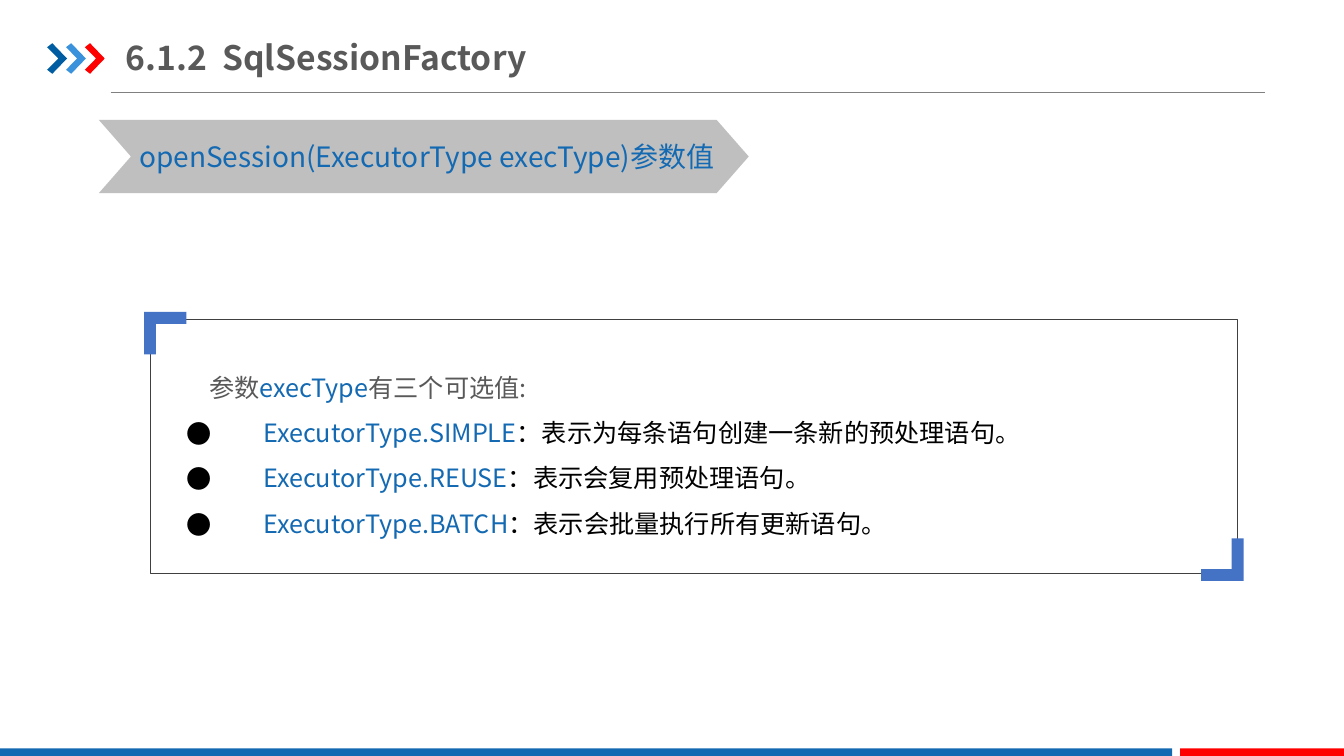
import pptx
import pptx.dml.color
import pptx.enum.shapes
import pptx.enum.text
import pptx.oxml
import pptx.oxml.ns
import pptx.util
from lxml import etree

Cm, Pt = pptx.util.Cm, pptx.util.Pt
SHAPES = pptx.enum.shapes.MSO_SHAPE
ANCHORS = pptx.enum.text.MSO_ANCHOR
qn = pptx.oxml.ns.qn

FONT = "Noto Sans CJK SC"
SLIDE_W, SLIDE_H = 33.87, 19.05
COLORS = {
    "blue": "1369B2",
    "navy": "005DA2",
    "sky": "3992DB",
    "red": "FF0000",
    "corner": "4472C4",
    "banner": "BFBFBF",
    "rule": "808080",
    "frame": "404040",
    "grey": "595959",
    "black": "000000",
}
EXECUTOR_TYPES = [
    ("ExecutorType.SIMPLE", "：表示为每条语句创建一条新的预处理语句。"),
    ("ExecutorType.REUSE", "：表示会复用预处理语句。"),
    ("ExecutorType.BATCH", "：表示会批量执行所有更新语句。"),
]


def rgb(color):
    return pptx.dml.color.RGBColor.from_string(COLORS[color])


def fill_plain(shape, color):
    shape.shadow.inherit = False
    shape.fill.solid()
    shape.fill.fore_color.rgb = rgb(color)
    shape.line.fill.background()


def add_preset(slide, preset, box, color):
    shape = slide.shapes.add_shape(preset, *map(Cm, box))
    fill_plain(shape, color)
    return shape


def add_outline(slide, points, color):
    """Draw a closed, filled outline through points given in centimetres."""
    start, *rest = [(Cm(x), Cm(y)) for x, y in points]
    builder = slide.shapes.build_freeform(*start)
    builder.add_line_segments(rest, close=True)
    fill_plain(builder.convert_to_shape(), color)


def add_run(paragraph, text, size, color, bold=False):
    run = paragraph.add_run()
    run.text = text
    run.font.size = Pt(size)
    run.font.bold = bold
    run.font.color.rgb = rgb(color)
    run.font.name = FONT
    etree.SubElement(run.font._element, qn("a:ea"), typeface=FONT)


def place_text(shape, box, insets, anchor=ANCHORS.TOP):
    shape.left, shape.top, shape.width, shape.height = map(Cm, box)
    frame = shape.text_frame
    frame.word_wrap = True
    frame.auto_size = pptx.enum.text.MSO_AUTO_SIZE.NONE
    frame.vertical_anchor = anchor
    frame.margin_left = frame.margin_right = Cm(insets[0])
    frame.margin_top = frame.margin_bottom = Cm(insets[1])
    return frame


def set_indent(paragraph, left, first, bullet=None):
    properties = paragraph._p.get_or_add_pPr()
    properties.set("marL", str(Cm(left)))
    properties.set("indent", str(Cm(first)))
    if bullet:
        etree.SubElement(properties, qn("a:buChar"), char=bullet)
    else:
        etree.SubElement(properties, qn("a:buNone"))


def add_header(slide, box):
    left, top, width, height = box
    arrow_w, arrow_h, arrow_step = 0.5, 0.77, 0.475
    arrow = [(0, 0.1), (0.13, 0), (arrow_w, arrow_h / 2),
             (0.13, arrow_h), (0, arrow_h - 0.1), (0.28, arrow_h / 2)]
    for i, color in enumerate(("navy", "sky", "red")):
        add_outline(slide, [(left + i * arrow_step + x, top + 0.35 + y) for x, y in arrow], color)

    heading = place_text(slide.shapes.title, (left + 1.98, top, 20, 1.4), (0, 0.18), ANCHORS.MIDDLE)
    heading.paragraphs[0].alignment = pptx.enum.text.PP_ALIGN.LEFT
    add_run(heading.paragraphs[0], "6.1.2  SqlSessionFactory", 24, "grey", bold=True)

    bottom = Cm(top + height)
    rule = slide.shapes.add_connector(
        pptx.enum.shapes.MSO_CONNECTOR.STRAIGHT, Cm(left + 1.6), bottom, Cm(left + width), bottom)
    rule.line.color.rgb = rgb("rule")
    rule.line.width = Pt(0.5)
    etree.SubElement(rule._element.spPr, qn("a:effectLst"))


def add_banner(slide, box):
    left, top, width, height = box
    add_preset(slide, SHAPES.CHEVRON, box, "banner").adjustments[0] = 0.438
    signature = place_text(slide.shapes.add_textbox(0, 0, 0, 0),
                           (left + 0.77, top + 0.36, width - 1.09, 1.12), (0.25, 0.13))
    add_run(signature.paragraphs[0], "openSession(ExecutorType execType)参数值", 20, "blue")


def add_corner(slide, x, y, direction):
    """Draw an L from its outer tip; direction 1 opens down right, -1 up left."""
    arm, thick = 1.07, 0.3
    bracket = [(0, 0), (arm, 0), (arm, thick), (thick, thick), (thick, arm), (0, arm)]
    add_outline(slide, [(x + direction * dx, y + direction * dy) for dx, dy in bracket], "corner")


def add_parameter_panel(slide, box):
    left, top, width, height = box
    panel = slide.shapes.add_shape(SHAPES.RECTANGLE, *map(Cm, box))
    panel.shadow.inherit = False
    panel.fill.background()
    panel.line.color.rgb = rgb("frame")
    panel.line.width = Pt(0.25)
    add_corner(slide, left - 0.15, top - 0.19, 1)
    add_corner(slide, left + width + 0.15, top + height + 0.19, -1)

    values = place_text(slide.placeholders[1],
                        (left + 0.67, top + 0.81, width - 1.32, height - 1.6), (0.25, 0.13))
    intro = values.paragraphs[0]
    items = [values.add_paragraph() for _ in EXECUTOR_TYPES]
    for paragraph in (intro, *items):
        paragraph.line_spacing = 1.5
        paragraph.space_before = paragraph.space_after = Pt(0)

    set_indent(intro, 0.57, 0)
    add_run(intro, "参数", 18, "grey")
    add_run(intro, "execType", 18, "blue")
    add_run(intro, "有三个可选值:", 18, "grey")
    for item, (constant, meaning) in zip(items, EXECUTOR_TYPES):
        set_indent(item, 1.93, -1.93, "●")
        add_run(item, constant, 18, "blue")
        add_run(item, meaning, 18, "black")
        bullet = item._p.pPr.find(qn("a:buChar"))
        bullet_color = etree.Element(qn("a:buClr"))
        etree.SubElement(bullet_color, qn("a:srgbClr"), val=COLORS["black"])
        bullet.addprevious(bullet_color)
        bullet.addprevious(etree.Element(qn("a:buFont"), typeface=FONT))


def add_footer(slide, box):
    left, top, width, height = box
    red_w, gap = 4.13, 0.2
    add_preset(slide, SHAPES.RECTANGLE, (left, top, width - red_w - gap, height), "blue")
    add_preset(slide, SHAPES.RECTANGLE, (left + width - red_w, top, red_w, height), "red")


def main():
    deck = pptx.Presentation()
    deck.slide_width, deck.slide_height = Cm(SLIDE_W), Cm(SLIDE_H)
    slide = deck.slides.add_slide(deck.slide_layouts[1])
    add_header(slide, (1.19, 0.74, 30.69, 1.59))
    add_footer(slide, (0, SLIDE_H - 0.19, SLIDE_W, 0.19))
    add_banner(slide, (2.49, 3.02, 16.38, 1.85))
    add_parameter_panel(slide, (3.78, 8.05, 27.41, 6.4))
    deck.save("out.pptx")


if __name__ == "__main__":
    main()
